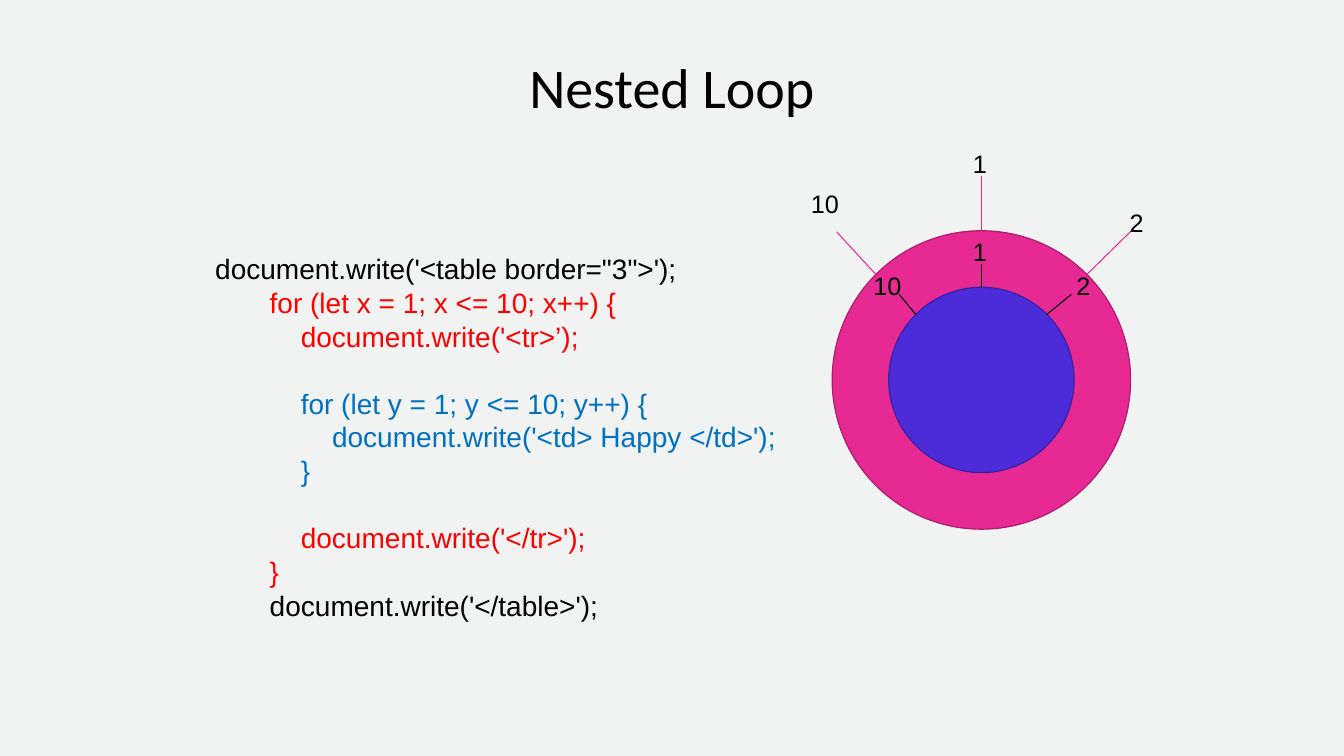
from math import cos, radians, sin

from lxml import etree
from pptx import Presentation
from pptx.dml.color import RGBColor
from pptx.enum.shapes import MSO_CONNECTOR, MSO_SHAPE
from pptx.enum.text import MSO_ANCHOR, PP_ALIGN
from pptx.oxml.ns import qn
from pptx.util import Pt

OVAL, STRAIGHT = MSO_SHAPE.OVAL, MSO_CONNECTOR.STRAIGHT
TOP, BOTTOM = MSO_ANCHOR.TOP, MSO_ANCHOR.BOTTOM
LEFT, CENTER, RIGHT = PP_ALIGN.LEFT, PP_ALIGN.CENTER, PP_ALIGN.RIGHT

COLORS = {
    "background": "F0F3F2", "black": "000000", "red": "FF0000", "blue": "0070C0",
    "pink": "E72994", "pink edge": "AB1E6D",
    "violet": "4C2CD9", "violet edge": "3821A1",
}

# Content: code lines as (text, indent, colour, blank lines before)
TITLE = "Nested Loop"
CODE = [
    ("document.write('<table border=\"3\">');", 5.56, "black", 0),
    ("for (let x = 1; x <= 10; x++) {", 44.5, "red", 0),
    ("document.write('<tr>’);", 66.7, "red", 0),
    ("for (let y = 1; y <= 10; y++) {", 66.7, "blue", 1),
    ("document.write('<td> Happy </td>');", 89, "blue", 0),
    ("}", 66.7, "blue", 0),
    ("document.write('</tr>');", 66.7, "red", 1),
    ("}", 44.5, "red", 0),
    ("document.write('</table>');", 44.5, "black", 0),
]
# Ticks: label, angle from the top, outer end, top left of the label
RINGS = [
    {"radius": 106.6, "fill": "pink", "edge": "pink edge", "tick": "pink", "ticks": [
        ("1", 0, (701, 126), (687.6, 102.2)),
        ("2", 45, (808, 165), (799.9, 144.7)),
        ("10", -45, (597.6, 165.6), (571.7, 131)),
    ]},
    {"radius": 66.2, "fill": "violet", "edge": "violet edge", "tick": "black", "ticks": [
        ("1", 0, (701, 188.6), (687.6, 165.6)),
        ("2", 45, (765.4, 210.2), (761.8, 189.4)),
        ("10", -45, (642.2, 210.2), (616.3, 189.4)),
    ]},
]
CENTER_X, CENTER_Y = 701, 271.4
LABEL_WIDTHS = {"1": 24.5, "2": 22.3, "10": 34.6}
LINE_PITCH = 24


def rgb(name):
    return RGBColor.from_string(COLORS[name])


def add_text(box, lines, font, paragraph_format, anchor=TOP, wrap=False):
    """Write lines of (text, indent, colour, blank lines before) in a new text box."""
    frame = slide.shapes.add_textbox(*map(Pt, box)).text_frame
    frame.word_wrap = wrap
    frame.vertical_anchor = anchor
    for number, (text, indent, color, gap) in enumerate(lines):
        paragraph = frame.add_paragraph() if number else frame.paragraphs[0]
        for name, value in paragraph_format.items():
            setattr(paragraph, name, value)
        paragraph.space_before = Pt(gap * LINE_PITCH)
        properties = paragraph._p.get_or_add_pPr()
        properties.set("marL", str(Pt(indent)))
        properties.set("indent", "0")
        run = paragraph.add_run()
        run.text = text
        for name, value in font.items():
            setattr(run.font, name, value)
        run.font.color.rgb = rgb(color)


def add_circle(ring):
    radius = ring["radius"]
    circle = slide.shapes.add_shape(
        OVAL, Pt(CENTER_X - radius), Pt(CENTER_Y - radius), Pt(2 * radius), Pt(2 * radius))
    circle.shadow.inherit = False
    circle.fill.solid()
    circle.fill.fore_color.rgb = rgb(ring["fill"])
    circle.line.color.rgb = rgb(ring["edge"])
    circle.line.width = Pt(0.85)


def add_tick(radius, angle, end, color):
    start = (CENTER_X + radius * sin(radians(angle)), CENTER_Y - radius * cos(radians(angle)))
    tick = slide.shapes.add_connector(STRAIGHT, *map(Pt, start + end))
    tick.line.color.rgb = rgb(color)
    tick.line.width = Pt(0.75)
    etree.SubElement(tick._element.spPr, qn("a:effectLst"))


# Slide
presentation = Presentation()
presentation.slide_width, presentation.slide_height = Pt(960), Pt(540)
slide = presentation.slides.add_slide(presentation.slide_layouts[6])
slide.background.fill.solid()
slide.background.fill.fore_color.rgb = rgb("background")

# Title and code
add_text((77.8, 31, 804.2, 58.3), [(TITLE, 0, "black", 0)],
         {"size": Pt(40), "name": "Calibri"},
         {"alignment": CENTER, "line_spacing": 1.1}, BOTTOM, True)
add_text((141.1, 176.4, 422.6, 273.6), CODE, {"size": Pt(20), "name": "Arial"},
         {"alignment": LEFT, "line_spacing": Pt(LINE_PITCH)})

# Loop rings, then their numbered ticks
for ring in RINGS:
    add_circle(ring)
for ring in RINGS:
    for label, angle, end, corner in ring["ticks"]:
        add_tick(ring["radius"], angle, end, ring["tick"])
        add_text((*corner, LABEL_WIDTHS[label], 28.8), [(label, 0, "black", 0)],
                 {"size": Pt(18), "name": "Arial"}, {"alignment": RIGHT})

presentation.save("out.pptx")
